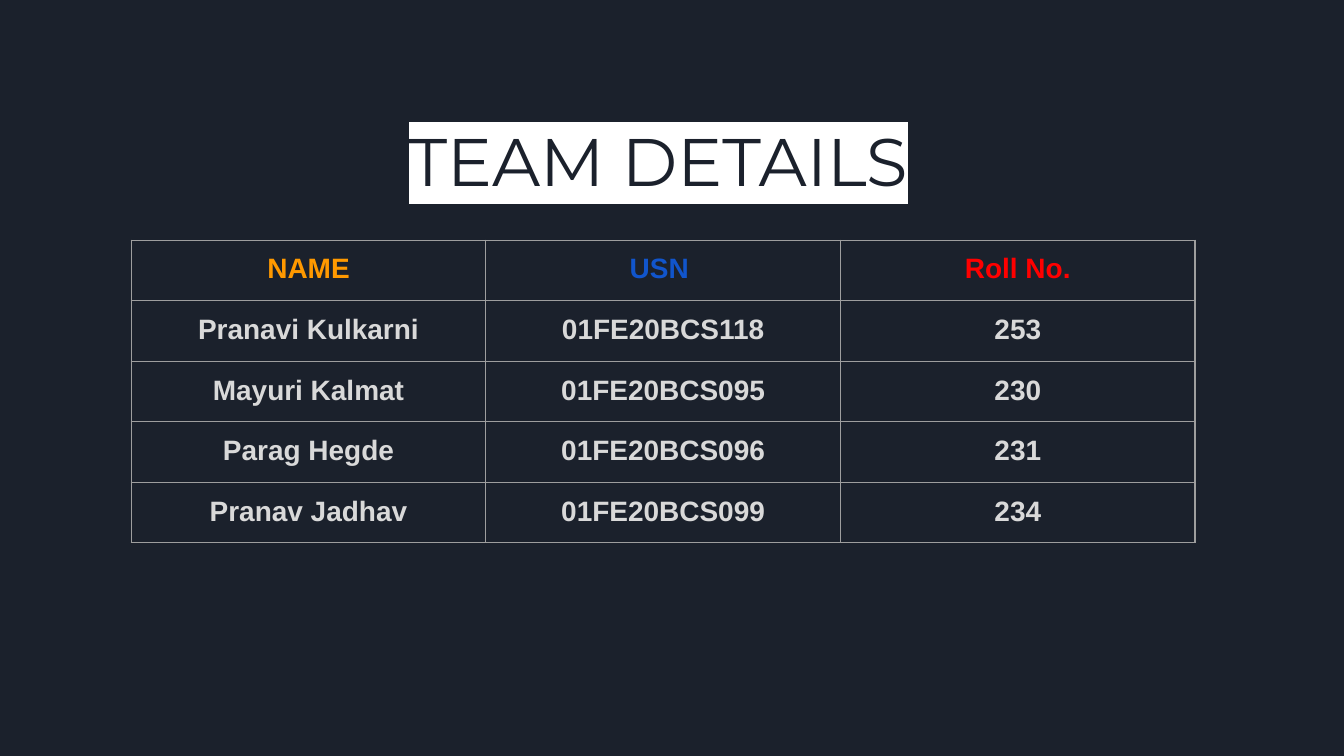
import pptx
import pptx.dml.color
import pptx.enum.text
import pptx.oxml
import pptx.oxml.ns
import pptx.util
from pptx.util import Pt

COLORS = {
    "background": "1B212C",
    "highlight": "FFFFFF",
    "border": "9E9E9E",
    "name": "FF9900",
    "usn": "1155CC",
    "roll": "FF0000",
    "body": "D9D9D9",
}
HEADINGS = [("NAME", "name"), ("USN ", "usn"), ("Roll No.", "roll")]
MEMBERS = [
    ("Pranavi Kulkarni", "01FE20BCS118", "253"),
    ("Mayuri Kalmat", "01FE20BCS095", "230"),
    ("Parag Hegde", "01FE20BCS096", "231"),
    ("Pranav Jadhav", "01FE20BCS099", "234"),
]
INSET = 7.2
BORDER_WIDTH = 0.75


def rgb(key):
    return pptx.dml.color.RGBColor.from_string(COLORS[key])


def color_element(tag, key):
    return pptx.oxml.parse_xml(
        f'<a:{tag} {pptx.oxml.ns.nsdecls("a")}><a:srgbClr val="{COLORS[key]}"/></a:{tag}>'
    )


def set_insets(holder):
    holder.margin_left = holder.margin_right = Pt(INSET)
    holder.margin_top = holder.margin_bottom = Pt(INSET)


def format_run(run, font, size, color, bold=False):
    run.font.name = font
    run.font.size = Pt(size)
    run.font.bold = bold
    run.font.color.rgb = rgb(color)


def add_borders(cell):
    properties = cell._tc.get_or_add_tcPr()
    for position, side in enumerate(("lnL", "lnR", "lnT", "lnB")):
        line = pptx.oxml.parse_xml(
            f'<a:{side} {pptx.oxml.ns.nsdecls("a")} w="{Pt(BORDER_WIDTH)}"/>'
        )
        line.append(color_element("solidFill", "border"))
        properties.insert(position, line)


def add_title(slide, left, top, width, height):
    title = slide.shapes.add_textbox(Pt(left), Pt(top), Pt(width), Pt(height))
    frame = title.text_frame
    frame.word_wrap = True
    frame.vertical_anchor = pptx.enum.text.MSO_ANCHOR.MIDDLE
    set_insets(frame)
    frame.text = "TEAM DETAILS"
    heading = frame.paragraphs[0]
    heading.space_after = Pt(16)
    format_run(heading.runs[0], "Montserrat", 36, "background")
    # The highlight follows the text fill in the run properties
    fill = heading.runs[0].font._element.find(pptx.oxml.ns.qn("a:solidFill"))
    fill.addnext(color_element("highlight", "highlight"))


def add_team_table(slide, left, top, width, height):
    rows = [HEADINGS] + [[(text, "body") for text in member] for member in MEMBERS]
    team = slide.shapes.add_table(
        len(rows), len(HEADINGS), Pt(left), Pt(top), Pt(width), Pt(height)
    ).table
    team.first_row = False
    team.horz_banding = False
    for column in team.columns:
        column.width = Pt(width / len(HEADINGS))
    for row, entries in zip(team.rows, rows):
        row.height = Pt(height / len(rows))
        for cell, (text, color) in zip(row.cells, entries):
            cell.fill.background()
            set_insets(cell)
            add_borders(cell)
            cell.text = text
            paragraph = cell.text_frame.paragraphs[0]
            paragraph.alignment = pptx.enum.text.PP_ALIGN.CENTER
            format_run(paragraph.runs[0], "Arial", 15, color, bold=True)


def main():
    deck = pptx.Presentation()
    deck.slide_width, deck.slide_height = Pt(720), Pt(405)
    slide = deck.slides.add_slide(deck.slide_layouts[6])
    slide.background.fill.solid()
    slide.background.fill.fore_color.rgb = rgb("background")

    add_title(slide, 211.8, 55.5, 409, 60.5)
    add_team_table(slide, 70.3, 128.7, 570, 152)
    deck.save("out.pptx")


if __name__ == "__main__":
    main()
